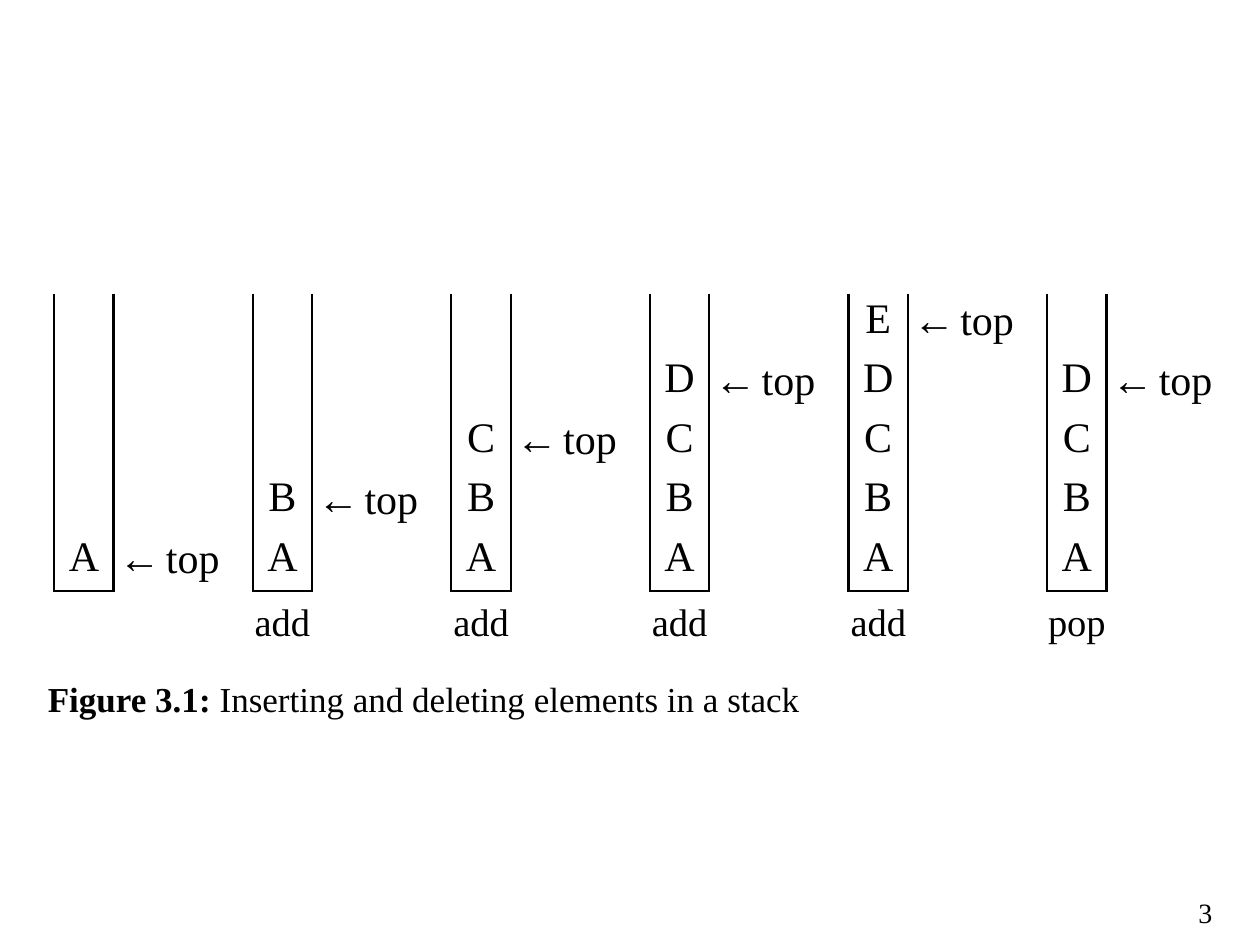
from lxml import etree
from pptx import Presentation
from pptx.dml.color import RGBColor
from pptx.enum.text import MSO_ANCHOR, MSO_AUTO_SIZE, PP_ALIGN
from pptx.oxml.ns import qn
from pptx.util import Inches, Pt

LEFT, CENTER, RIGHT = PP_ALIGN.LEFT, PP_ALIGN.CENTER, PP_ALIGN.RIGHT
TOP, MIDDLE = MSO_ANCHOR.TOP, MSO_ANCHOR.MIDDLE
BLACK = RGBColor(0, 0, 0)
FONT = "Times New Roman"

# Contents from bottom to top, and the step that led there
STACKS = [("A", ""), ("AB", "add"), ("ABC", "add"),
          ("ABCD", "add"), ("ABCDE", "add"), ("ABCD", "pop")]
CAPTION = ("Figure 3.1: ", "Inserting and deleting elements in a stack")
PAGE = "3"

ROWS = 5
X0, Y0 = 0.43, 2.33
PITCH = (8.31 - X0) / (len(STACKS) - 1)
HEIGHT = 2.36
CELL = HEIGHT / ROWS
MARK_W, STEP_W = 0.95, 0.79


def style(para, size):
    for run in para.runs:
        font = run.font
        font.name, font.size, font.bold = FONT, Pt(size), False
        font.color.rgb = BLACK


def add_text(slide, box, runs, size, align=LEFT, anchor=TOP, pads=(0.1, 0, 0.1, 0)):
    frame = slide.shapes.add_textbox(*map(Inches, box)).text_frame
    frame.word_wrap = True
    frame.vertical_anchor = anchor
    (frame.margin_left, frame.margin_top,
     frame.margin_right, frame.margin_bottom) = map(Inches, pads)
    para = frame.paragraphs[0]
    para.alignment = align
    for text in runs:
        para.add_run().text = text
    style(para, size)
    return para


def set_edges(cell, shown):
    """Draw the sides of a cell named in shown (L, R, T, B) and hide the rest."""
    props = cell._tc.get_or_add_tcPr()
    for spot, side in enumerate("LRTB"):
        line = etree.Element(qn(f"a:ln{side}"), w=str(Pt(1.5)))
        if side in shown:
            fill = etree.SubElement(line, qn("a:solidFill"))
            etree.SubElement(fill, qn("a:srgbClr"), val=str(BLACK))
        else:
            etree.SubElement(line, qn("a:noFill"))
        props.insert(spot, line)


def add_stack(slide, x, items):
    box = map(Inches, (x, Y0, CELL, HEIGHT))
    table = slide.shapes.add_table(ROWS, 1, *box).table
    table.first_row = table.horz_banding = False
    for row in range(ROWS):
        cell = table.cell(row, 0)
        cell.fill.background()
        cell.margin_top = cell.margin_bottom = Inches(0.02)
        level = ROWS - 1 - row
        set_edges(cell, "LRB" if level == 0 else "LR")
        if level < len(items):
            cell.text = items[level]
            para = cell.text_frame.paragraphs[0]
            para.alignment = CENTER
            style(para, 24)


def add_caption(slide):
    slide.shapes.title.element.getparent().remove(slide.shapes.title.element)
    body = slide.placeholders[1]
    body.left, body.top, body.width, body.height = map(Inches, (0.28, 5.33, 6.3, 0.47))
    frame = body.text_frame
    frame.auto_size = MSO_AUTO_SIZE.NONE
    para = frame.paragraphs[0]
    props = para._p.get_or_add_pPr()
    props.set("marL", "0")
    props.set("indent", "0")
    etree.SubElement(props, qn("a:buNone"))
    para.space_before = Pt(0)
    for text in CAPTION:
        para.add_run().text = text
    style(para, 20)
    para.runs[0].font.bold = True


def main():
    deck = Presentation()
    deck.slide_width, deck.slide_height = Inches(10), Inches(7.5)
    slide = deck.slides.add_slide(deck.slide_layouts[1])
    add_caption(slide)
    for i, (items, step) in enumerate(STACKS):
        x = X0 + i * PITCH
        add_stack(slide, x, items)
        y = Y0 + (ROWS - len(items)) * CELL
        mark = add_text(slide, (x + CELL, y, MARK_W, CELL), ("←", "top"), 24,
                        pads=(0.04, 0, 0.1, 0))
        mark.runs[0].font._element.set("spc", "300")
        if step:
            left = x + (CELL - STEP_W) / 2
            add_text(slide, (left, Y0 + HEIGHT, STEP_W, CELL), (step,), 22,
                     CENTER, MIDDLE)
    add_text(slide, (9.25, 7.06, 0.47, 0.32), (PAGE,), 16, RIGHT,
             pads=(0.1, 0.05, 0.1, 0.05))
    deck.save("out.pptx")


if __name__ == "__main__":
    main()
